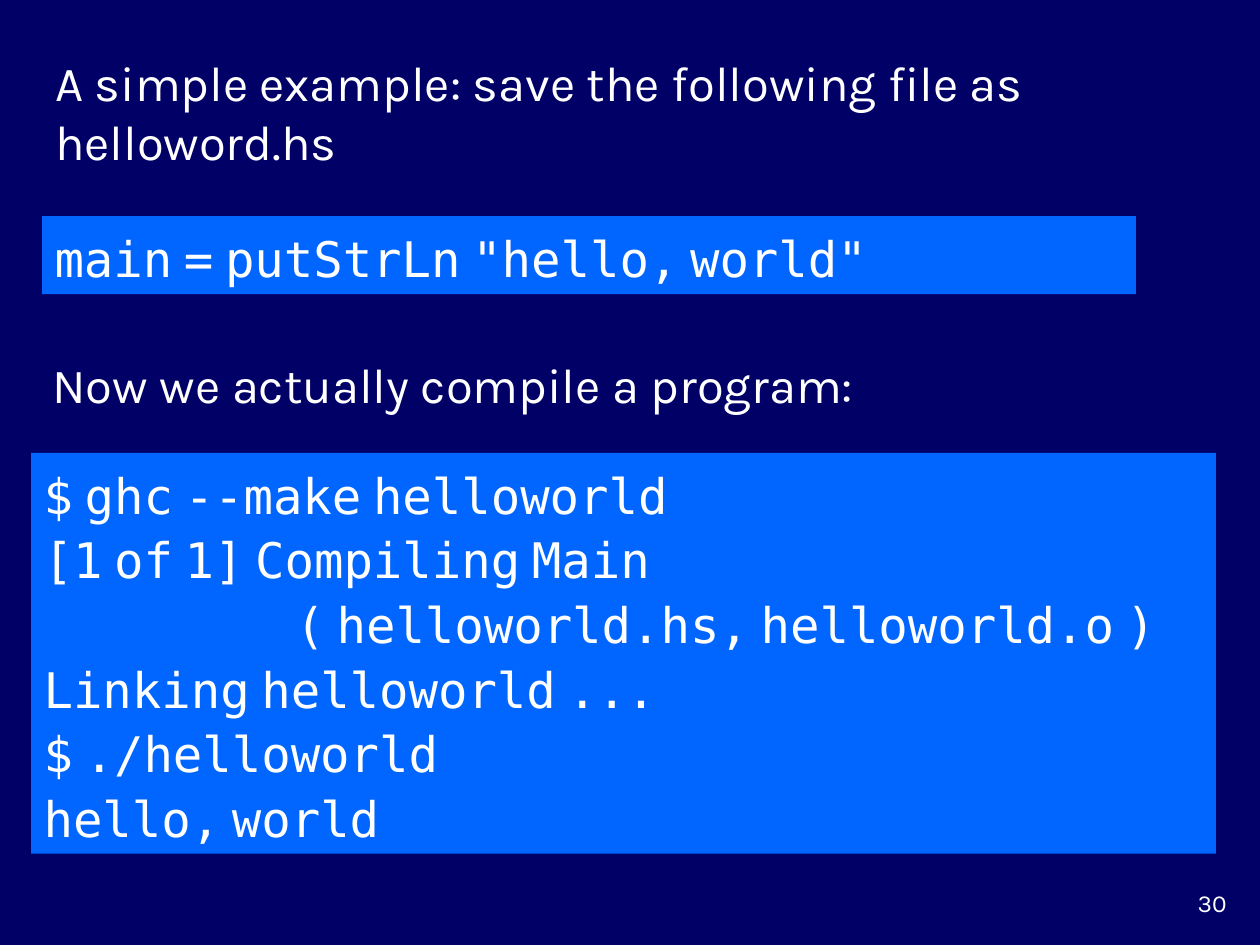
from dataclasses import dataclass
from itertools import groupby

from lxml.etree import SubElement
from pptx import Presentation
from pptx.dml.color import RGBColor
from pptx.enum.shapes import MSO_SHAPE
from pptx.enum.text import MSO_ANCHOR, PP_ALIGN
from pptx.oxml.ns import qn
from pptx.util import Cm, Pt


@dataclass(frozen=True)
class Theme:
    background: RGBColor = RGBColor(0x00, 0x00, 0x66)
    panel: RGBColor = RGBColor(0x00, 0x66, 0xFF)
    text: RGBColor = RGBColor(0xFF, 0xFF, 0xFF)
    prose_font: str = "Karla"
    code_font: str = "DejaVu Sans Mono"
    body_size: int = 28
    number_size: int = 14
    code_spacing: float = 1.1


THEME = Theme()
TAB_STOPS = (Cm(2.54), Cm(5.08))

PROSE = [
    ("A simple example: save the following file as helloword.hs", (0.86, 0.93, 23.65, 2.64)),
    ("Now we actually compile a program:", (0.81, 7.01, 23.65, 1.45)),
]
CODE = [
    (['main = putStrLn "hello, world"'], (0.85, 4.36, 22.05, 1.57)),
    (
        [
            "$ ghc --make helloworld",
            "[1 of 1] Compiling Main",
            "\t\t( helloworld.hs, helloworld.o )",
            "Linking helloworld ...",
            "$ ./helloworld",
            "hello, world",
        ],
        (0.63, 9.13, 23.88, 8.08),
    ),
]
PAGE_NUMBER = ("30", (23.28, 17.78, 1.7, 0.84))


def prepare_frame(shape, anchor):
    frame = shape.text_frame
    frame.word_wrap = True
    frame.vertical_anchor = anchor
    return frame


def add_run(paragraph, text, font_name, size):
    run = paragraph.add_run()
    run.text = text
    run.font.name = font_name
    run.font.size = Pt(size)
    run.font.color.rgb = THEME.text


def add_prose(slide, text, box, size=THEME.body_size, alignment=PP_ALIGN.LEFT, anchor=MSO_ANCHOR.MIDDLE):
    shape = slide.shapes.add_textbox(*map(Cm, box))
    paragraph = prepare_frame(shape, anchor).paragraphs[0]
    paragraph.alignment = alignment
    add_run(paragraph, text, THEME.prose_font, size)


def add_tab_stops(paragraph):
    tab_list = SubElement(paragraph._p.get_or_add_pPr(), qn("a:tabLst"))
    for position in TAB_STOPS:
        SubElement(tab_list, qn("a:tab"), pos=str(position), algn="l")


def add_code(slide, lines, box):
    shape = slide.shapes.add_shape(MSO_SHAPE.RECTANGLE, *map(Cm, box))
    shape.shadow.inherit = False
    shape.fill.solid()
    shape.fill.fore_color.rgb = THEME.panel
    shape.line.fill.background()
    frame = prepare_frame(shape, MSO_ANCHOR.MIDDLE)
    for index, line in enumerate(lines):
        paragraph = frame.add_paragraph() if index else frame.paragraphs[0]
        add_tab_stops(paragraph)
        paragraph.alignment = PP_ALIGN.LEFT
        paragraph.line_spacing = THEME.code_spacing
        for is_space, characters in groupby(line, key=lambda character: character == " "):
            font_name = THEME.prose_font if is_space else THEME.code_font
            add_run(paragraph, "".join(characters), font_name, THEME.body_size)


def main():
    presentation = Presentation()
    presentation.slide_width, presentation.slide_height = Cm(25.4), Cm(19.05)
    slide = presentation.slides.add_slide(presentation.slide_layouts[6])
    slide.background.fill.solid()
    slide.background.fill.fore_color.rgb = THEME.background
    for text, box in PROSE:
        add_prose(slide, text, box)
    for lines, box in CODE:
        add_code(slide, lines, box)
    number, box = PAGE_NUMBER
    add_prose(slide, number, box, THEME.number_size, PP_ALIGN.RIGHT, MSO_ANCHOR.TOP)
    presentation.save("out.pptx")


if __name__ == "__main__":
    main()
